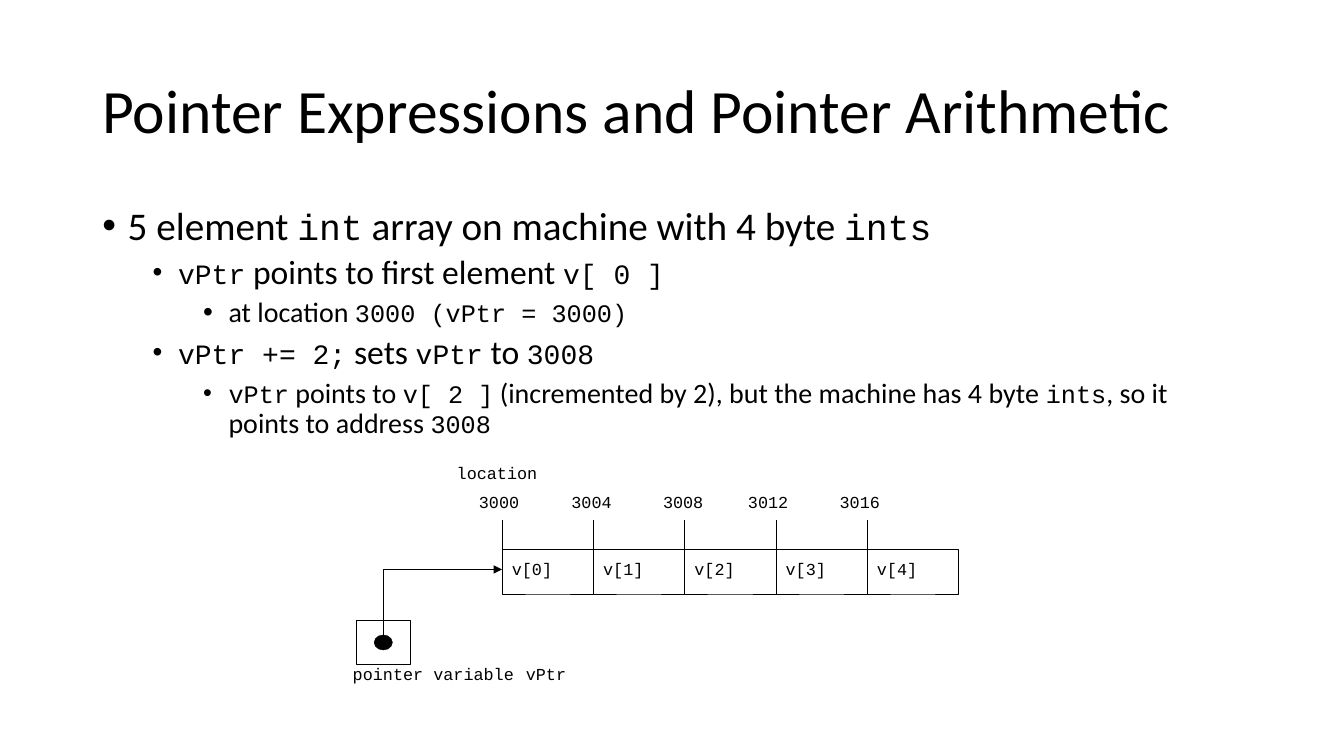
from lxml.etree import SubElement
from pptx import Presentation
from pptx.dml.color import RGBColor
from pptx.enum.shapes import MSO_SHAPE as Kind
from pptx.enum.text import MSO_ANCHOR as Anchor
from pptx.oxml.ns import qn
from pptx.util import Cm, Pt

INK = "000000"
SANS = "Calibri"
MONO = "Courier New"
POINTS = [
    (0, [("5 element ", SANS, 28), ("int", MONO, 26),
         (" array on machine with 4 byte ", SANS, 28), ("ints", MONO, 26)]),
    (1, [("vPtr", MONO, 20), (" points to first element ", SANS, 24),
         ("v[ 0 ]", MONO, 20)]),
    (2, [("at location ", SANS, 20), ("3000 (vPtr = 3000)", MONO, 18)]),
    (1, [("vPtr += 2;", MONO, 20), (" sets ", SANS, 24), ("vPtr", MONO, 20),
         (" to ", SANS, 24), ("3008", MONO, 20)]),
    (2, [("vPtr", MONO, 18), (" points to ", SANS, 20), ("v[ 2 ]", MONO, 18),
         (" (incremented by 2), but the machine has 4 byte ", SANS, 20),
         ("ints", MONO, 18), (", so it points to address ", SANS, 20),
         ("3008", MONO, 18)]),
]


def color(code):
    """Turn a hex string into a colour."""
    return RGBColor.from_string(code)


def write(para, runs):
    """Add each run of text, font and size to a paragraph."""
    for text, face, size in runs:
        run = para.add_run()
        run.text = text
        run.font.name = face
        run.font.size = Pt(size)
        run.font.color.rgb = color(INK)


def frame(slide, x, y, w, h):
    """Add a wrapping text box and return its text frame."""
    body = slide.shapes.add_textbox(Cm(x), Cm(y), Cm(w), Cm(h)).text_frame
    body.word_wrap = True
    return body


def label(slide, x, y, w, runs):
    """Add a small label without margins."""
    body = frame(slide, x, y, w, 0.81)
    body.margin_left = body.margin_right = 0
    body.margin_top = body.margin_bottom = 0
    write(body.paragraphs[0], runs)


def outline(shape, fill=None):
    """Give a shape a hairline and an optional fill."""
    shape.shadow.inherit = False
    shape.line.color.rgb = color(INK)
    shape.line.width = Pt(0.25)
    if fill:
        shape.fill.solid()
        shape.fill.fore_color.rgb = color(fill)
    else:
        shape.fill.background()


def block(slide, kind, x, y, w, h, fill=None):
    """Add an outlined preset shape."""
    outline(slide.shapes.add_shape(kind, Cm(x), Cm(y), Cm(w), Cm(h)), fill)


def tick(slide, x, y, h):
    """Add a vertical hairline."""
    line = slide.shapes.add_connector(1, Cm(x), Cm(y), Cm(x), Cm(y + h))
    line.line.color.rgb = color(INK)
    line.line.width = Pt(0.25)
    SubElement(line._element.spPr, qn("a:effectLst"))


def title(slide, x, y, w, h):
    """Place the slide title in its box."""
    body = frame(slide, x, y, w, h)
    body.vertical_anchor = Anchor.MIDDLE
    para = body.paragraphs[0]
    para.line_spacing = 0.9
    write(para, [("Pointer Expressions and Pointer Arithmetic", SANS, 44)])


def bullets(slide, x, y, w, h):
    """Place the three-level bullet list in its box."""
    body = frame(slide, x, y, w, h)
    for i, (level, runs) in enumerate(POINTS):
        para = body.add_paragraph() if i else body.paragraphs[0]
        para.level = level
        para.line_spacing = 0.9
        para.space_before = Pt(5 if level else 10)
        props = para._p.get_or_add_pPr()
        props.set("marL", str(Cm(0.64 + 1.27 * level)))
        props.set("indent", str(-Cm(0.64)))
        SubElement(props, qn("a:buFont"), typeface="Arial")
        SubElement(props, qn("a:buChar"), char="•")
        write(para, runs)


def array(slide, x, y):
    """Draw the cells with their ticks and addresses."""
    step, high = 2.3, 1.13
    label(slide, x - 1.14, y - 2.18, 3.1, [("location", MONO, 12)])
    shifts = (-0.58, -0.55, -0.54, -0.7, -0.69)
    for i, shift in enumerate(shifts):
        left = x + i * step
        block(slide, Kind.RECTANGLE, left, y, step, high)
        label(slide, left + 0.25, y + 0.23, 1.8, [(f"v[{i}]", MONO, 12)])
        tick(slide, left, y - 0.73, 0.73)
        label(slide, left + shift, y - 1.44, 1.8,
              [(str(3000 + 4 * i), MONO, 12)])


def pointer(slide, x, y, tip_x, tip_y):
    """Draw the pointer variable and its bent arrow to the tip."""
    block(slide, Kind.RECTANGLE, x, y, 1.38, 1.13)
    block(slide, Kind.OVAL, x + 0.46, y + 0.38, 0.46, 0.38, INK)
    label(slide, x - 0.08, y + 1.04, 8.05,
          [("pointer variable", MONO, 12), (" ", MONO, 14),
           ("vPtr", MONO, 12)])
    mid = Cm(x + 0.69)
    path = slide.shapes.build_freeform(Cm(tip_x), Cm(tip_y))
    path.add_line_segments([(mid, Cm(tip_y)), (mid, Cm(y + 0.38))],
                           close=False)
    arrow = path.convert_to_shape()
    outline(arrow)
    SubElement(arrow.line._get_or_add_ln(), qn("a:headEnd"), type="triangle")


def main():
    """Build the slide and save it."""
    deck = Presentation()
    deck.slide_width, deck.slide_height = Cm(33.87), Cm(19.05)
    slide = deck.slides.add_slide(deck.slide_layouts[6])
    title(slide, 2.33, 1.01, 29.21, 3.68)
    bullets(slide, 2.33, 5.07, 29.21, 12.09)
    array(slide, 12.65, 13.84)
    pointer(slide, 8.97, 15.62, 12.65, 14.35)
    deck.save("out.pptx")


if __name__ == "__main__":
    main()
